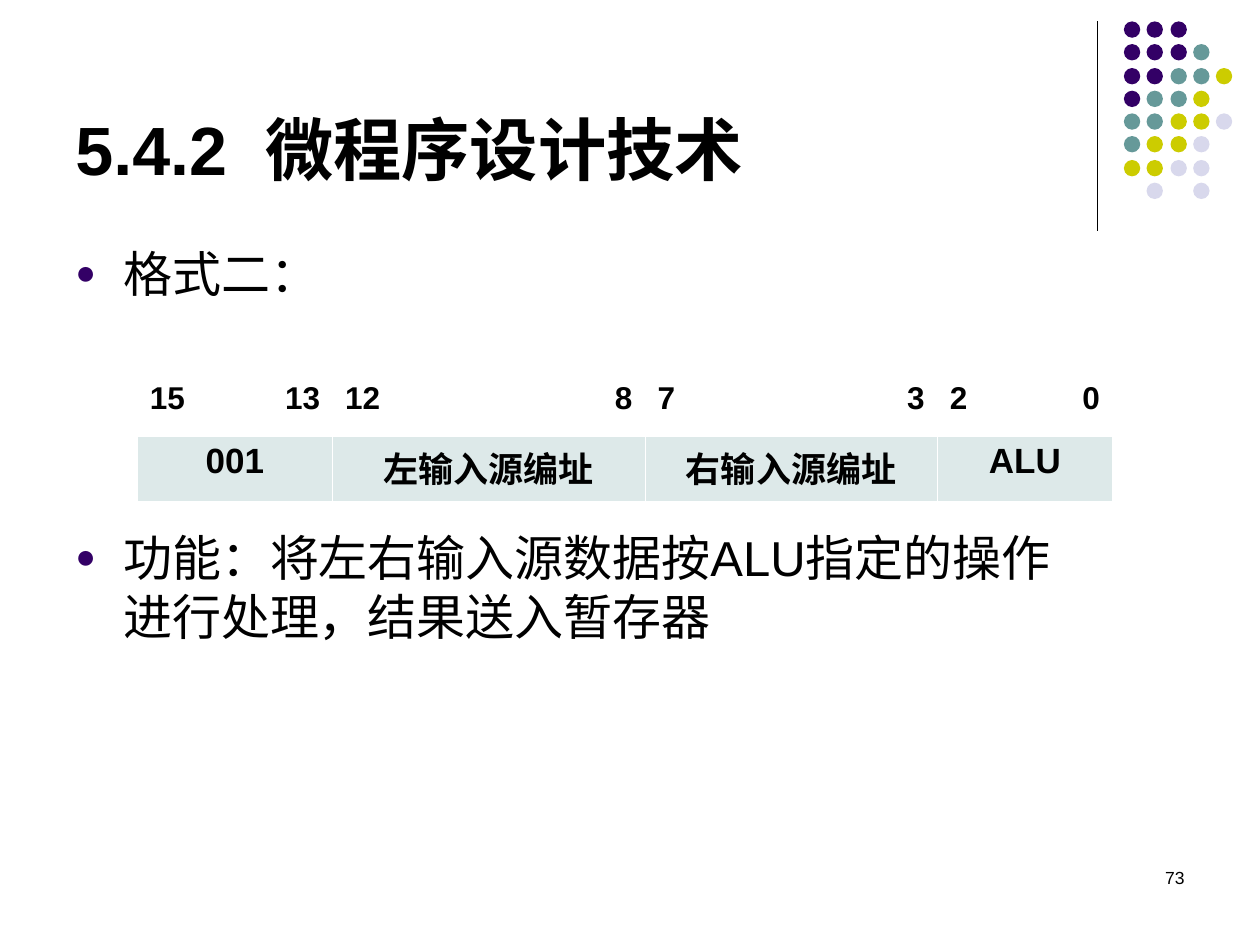
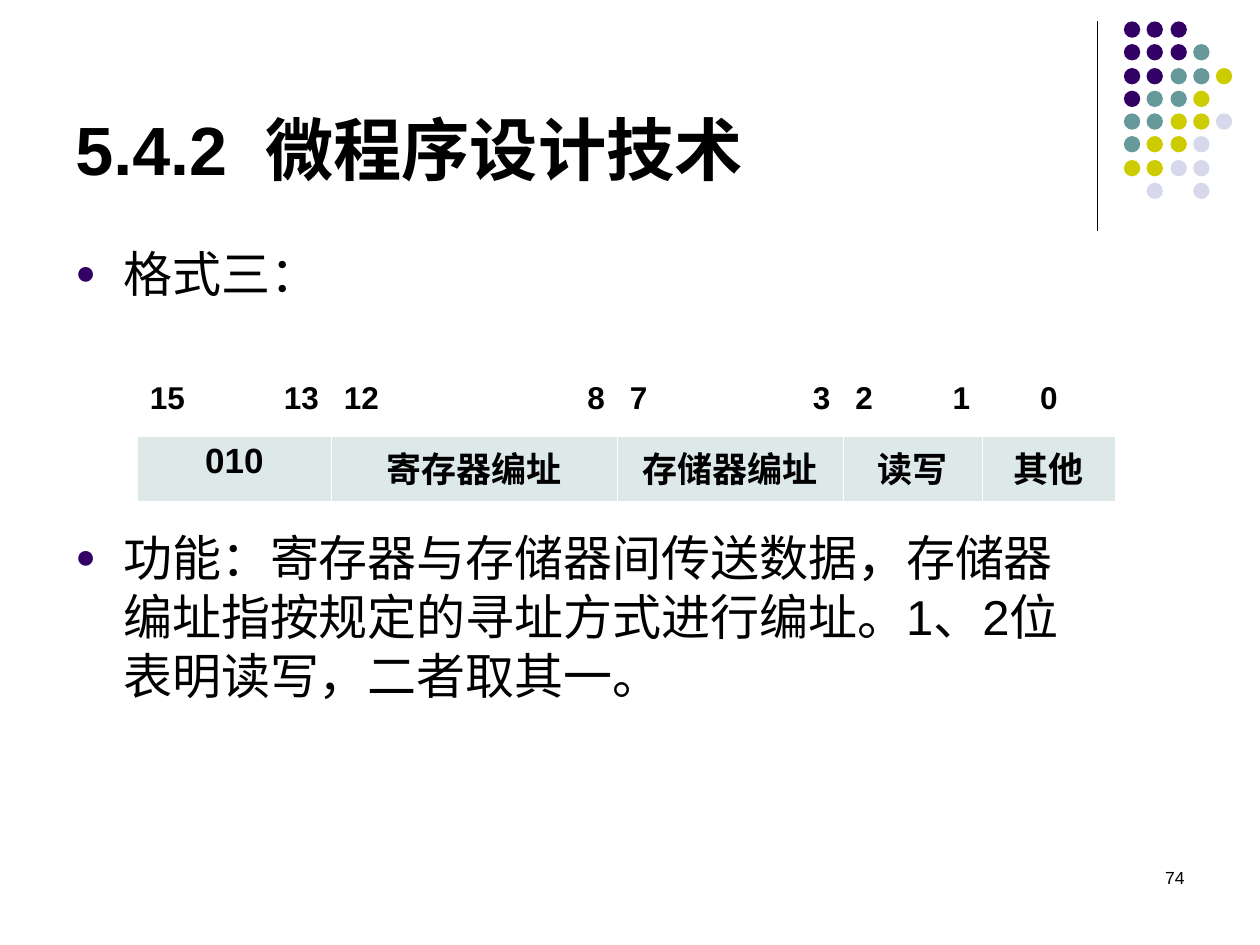
from lxml import etree
from pptx import Presentation
from pptx.dml.color import RGBColor
from pptx.enum.shapes import MSO_CONNECTOR, MSO_SHAPE
from pptx.enum.text import MSO_ANCHOR, PP_ALIGN
from pptx.oxml.ns import qn
from pptx.util import Emu, Pt

LEFT, CENTER, RIGHT = PP_ALIGN.LEFT, PP_ALIGN.CENTER, PP_ALIGN.RIGHT
TOP, BOTTOM = MSO_ANCHOR.TOP, MSO_ANCHOR.BOTTOM
ELLIPSE, STRAIGHT = MSO_SHAPE.OVAL, MSO_CONNECTOR.STRAIGHT

SCALE = 9144  # EMU per px, 100 px to the inch
FONT = "Arial"
BLACK, WHITE, FIELD_FILL = "000000", "FFFFFF", "DDE9E9"
PURPLE, TEAL, OLIVE, LILAC = "330066", "669999", "CCCC00", "D8D8EC"

# Corner ornament: one letter per dot, a space for a gap
DOT_COLOURS = {"P": PURPLE, "T": TEAL, "O": OLIVE, "L": LILAC}
DOT_ROWS = ["PPP", "PPPT", "PPTTO", "PTTO", "TTOOL", "TOOL", "OOLL", " L L"]
DOT_LEFT, DOT_TOP, DOT_PITCH, DOT_SIZE = 892, 17, 18.3, 13

TITLE = "5.4.2  微程序设计技术"
BODY_GAP = 129  # points left between the two bullets for the table
THIN, THICK = 0.45, 1.47


def px(length):
    return Emu(round(length) * SCALE)


def colour(value):
    return RGBColor.from_string(value)


def write(para, text, size=28, bold=False, align=LEFT, before=0):
    para.alignment = align
    para.space_before = Pt(before)
    span = para.add_run()
    span.text = text
    span.font.name = FONT
    span.font.size = Pt(size)
    span.font.bold = bold
    span.font.color.rgb = colour(BLACK)


def add_bullet(para):
    props = para._p.get_or_add_pPr()
    props.set("marL", str(px(38)))
    props.set("indent", str(-px(38)))
    tint = etree.SubElement(props, qn("a:buClr"))
    etree.SubElement(tint, qn("a:srgbClr"), val=PURPLE)
    etree.SubElement(props, qn("a:buSzPct"), val="70000")
    etree.SubElement(props, qn("a:buFont"), typeface=FONT)
    etree.SubElement(props, qn("a:buChar"), char="●")


def set_borders(cell, top, bottom):
    props = cell._tc.get_or_add_tcPr()
    widths = {"lnL": THIN, "lnR": THIN, "lnT": top, "lnB": bottom}
    for side, width in widths.items():
        line = etree.SubElement(props, qn("a:" + side), w=str(Pt(width)))
        fill = etree.SubElement(line, qn("a:solidFill"))
        etree.SubElement(fill, qn("a:srgbClr"), val=WHITE)


class Slides:
    def __init__(self):
        self.deck = Presentation()
        self.deck.slide_width, self.deck.slide_height = px(1000), px(750)
        self.page = None

    def new_page(self, number):
        self.page = self.deck.slides.add_slide(self.deck.slide_layouts[6])
        self.rule(871, 17, 183)
        self.dots()
        write(self.text_box(717, 683, 233, 50).paragraphs[0], str(number),
              size=10, align=RIGHT)
        write(self.text_box(50, 13, 825, 142, BOTTOM).paragraphs[0], TITLE,
              size=39, bold=True)

    def rule(self, x, top, bottom):
        line = self.page.shapes.add_connector(
            STRAIGHT, px(x), px(top), px(x), px(bottom))
        line.line.color.rgb = colour(BLACK)
        line.line.width = Pt(0.75)
        etree.SubElement(line._element.spPr, qn("a:effectLst"))

    def dots(self):
        group = self.page.shapes.add_group_shape()
        for row, letters in enumerate(DOT_ROWS):
            for column, letter in enumerate(letters):
                if letter == " ":
                    continue
                dot = group.shapes.add_shape(
                    ELLIPSE, px(DOT_LEFT + column * DOT_PITCH),
                    px(DOT_TOP + row * DOT_PITCH), px(DOT_SIZE), px(DOT_SIZE))
                dot.shadow.inherit = False
                dot.fill.solid()
                dot.fill.fore_color.rgb = colour(DOT_COLOURS[letter])
                dot.line.fill.background()

    def text_box(self, left, top, width, height, anchor=TOP):
        box = self.page.shapes.add_textbox(
            px(left), px(top), px(width), px(height))
        frame = box.text_frame
        frame.word_wrap = True
        frame.vertical_anchor = anchor
        return frame

    def bullets(self, heading, purpose):
        frame = self.text_box(50, 188, 812, 482)
        for para, text, before in (
                (frame.paragraphs[0], heading, 0),
                (frame.add_paragraph(), purpose, BODY_GAP)):
            add_bullet(para)
            write(para, text, before=before)

    def instruction_format(self, fields, widths):
        """Bit numbers above, one merged cell per field below."""
        table = self.page.shapes.add_table(
            2, len(widths), px(109), px(297), px(sum(widths)), px(101)).table
        table.first_row = table.horz_banding = False
        for column, width in zip(table.columns, widths):
            column.width = px(width)
        table.rows[0].height, table.rows[1].height = px(49), px(52)

        for index in range(len(widths)):
            number, field = table.cell(0, index), table.cell(1, index)
            set_borders(number, THIN, THICK)
            number.fill.background()
            set_borders(field, THICK, THIN)
            field.fill.solid()
            field.fill.fore_color.rgb = colour(FIELD_FILL)

        start = 0
        for name, bits in fields:
            end = start + len(bits) - 1
            aligns = (LEFT, RIGHT) if len(bits) == 2 else (CENTER,)
            for offset, (bit, align) in enumerate(zip(bits, aligns)):
                para = table.cell(0, start + offset).text_frame.paragraphs[0]
                write(para, str(bit), size=18, bold=True, align=align)
            field = table.cell(1, start)
            if end > start:
                field.merge(table.cell(1, end))
            write(field.text_frame.paragraphs[0], name, size=20, bold=True,
                  align=CENTER)
            start = end + 1


def main():
    slides = Slides()

    # Format two: ALU operation
    slides.new_page(73)
    slides.bullets("格式二：",
                   "功能：将左右输入源数据按ALU指定的操作进行处理，结果送入暂存器")
    slides.instruction_format(
        [("001", (15, 13)), ("左输入源编址", (12, 8)),
         ("右输入源编址", (7, 3)), ("ALU", (2, 0))],
        [106, 49, 162, 86, 125, 107, 104, 35])

    # Format three: register and memory transfer
    slides.new_page(74)
    slides.bullets("格式三：",
                   "功能：寄存器与存储器间传送数据，存储器编址指按规定的寻址方式"
                   "进行编址。1、2位表明读写，二者取其一。")
    slides.instruction_format(
        [("010", (15, 13)), ("寄存器编址", (12, 8)), ("存储器编址", (7, 3)),
         ("读写", (2, 1)), ("其他", (0,))],
        [105, 49, 161, 66, 84, 95, 24, 87, 105])

    slides.deck.save("out.pptx")


if __name__ == "__main__":
    main()
